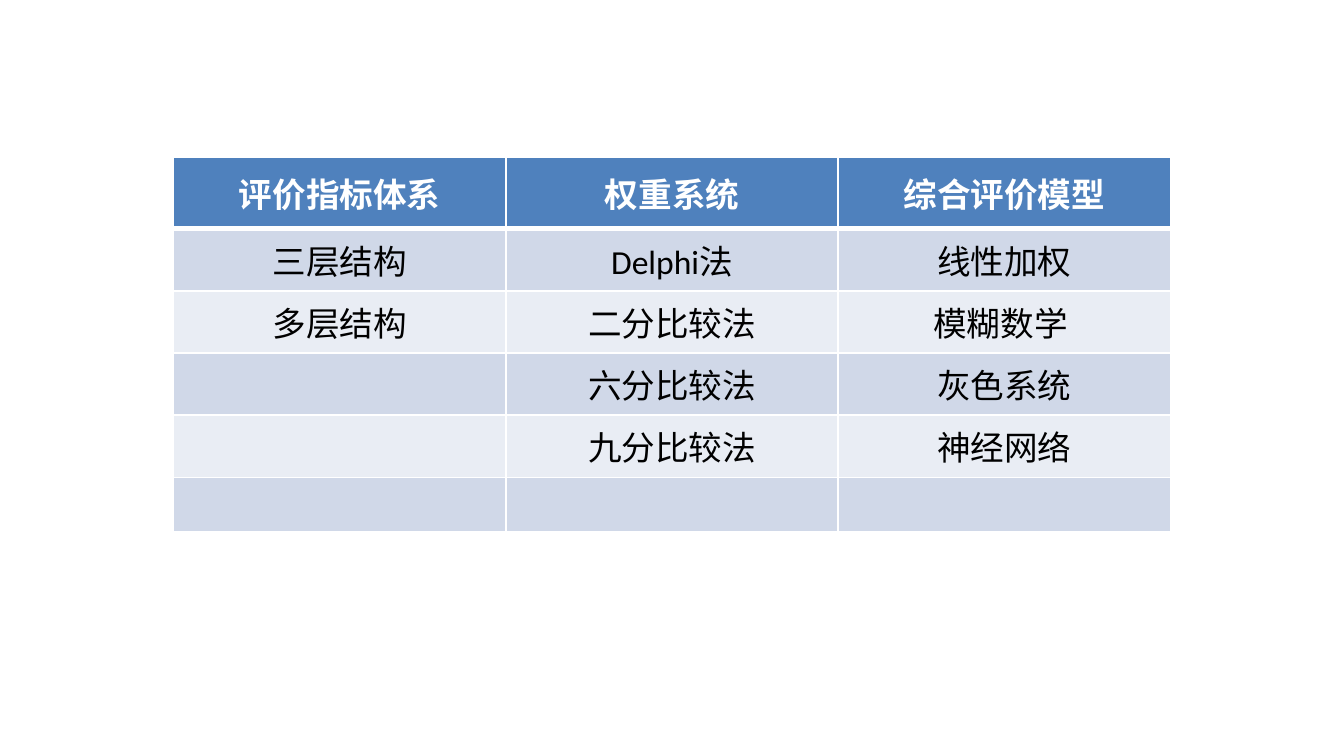
from pptx import Presentation
from pptx.dml.color import RGBColor
from pptx.enum.text import MSO_ANCHOR as ANCHOR, PP_ALIGN as ALIGN
from pptx.oxml.ns import qn
from pptx.util import Cm, Pt
from lxml.etree import SubElement


def rgb(color):
    return RGBColor.from_string(color)


def write(cell, text, size=18, color="000000", bold=False, font="Calibri"):
    cell.vertical_anchor = ANCHOR.MIDDLE
    p = cell.text_frame.paragraphs[0]
    p.alignment = ALIGN.CENTER
    p.font.size = Pt(size)
    if text:
        r = p.add_run()
        r.text = text
        r.font.size = Pt(size)
        r.font.name = font
        r.font.bold = bold
        r.font.color.rgb = rgb(color)


prs = Presentation()
prs.slide_width, prs.slide_height = Cm(25.4), Cm(14.28)
s = prs.slides.add_slide(prs.slide_layouts[6])

rows = [
    ["评价指标体系", "权重系统", "综合评价模型"],
    ["三层结构", "Delphi法", "线性加权"],
    ["多层结构", "二分比较法", "模糊数学 "],
    ["", "六分比较法", "灰色系统"],
    ["", "九分比较法", "神经网络"],
    ["", "", ""],
]

# Table frame, column widths and row heights
sp = s.shapes.add_table(len(rows), 3, Cm(3.28), Cm(2.96), Cm(18.84), Cm(6.45))
table = sp.table
for col in table.columns:
    col.width = Cm(6.28)
for i, row in enumerate(table.rows):
    row.height = Cm(0.86 if i else 1.36)
sp.height = Cm(6.45)

# Cells: blue header, banded body, white grid with a thick line under the header
for i, texts in enumerate(rows):
    header = i == 0
    fill = "4F81BD" if header else ("E9EDF4", "D0D8E8")[i % 2]
    for j, text in enumerate(texts):
        cell = table.cell(i, j)
        write(cell, text, color="FFFFFF" if header else "000000", bold=header)
        tcPr = cell._tc.get_or_add_tcPr()
        for side in ("lnL", "lnR", "lnT", "lnB"):
            thick = (i, side) in ((0, "lnB"), (1, "lnT"))
            ln = SubElement(tcPr, qn(f"a:{side}"), w=str(Pt(3 if thick else 1)))
            line_fill = SubElement(ln, qn("a:solidFill"))
            SubElement(line_fill, qn("a:srgbClr"), val="FFFFFF")
        cell.fill.solid()
        cell.fill.fore_color.rgb = rgb(fill)

prs.save("out.pptx")
